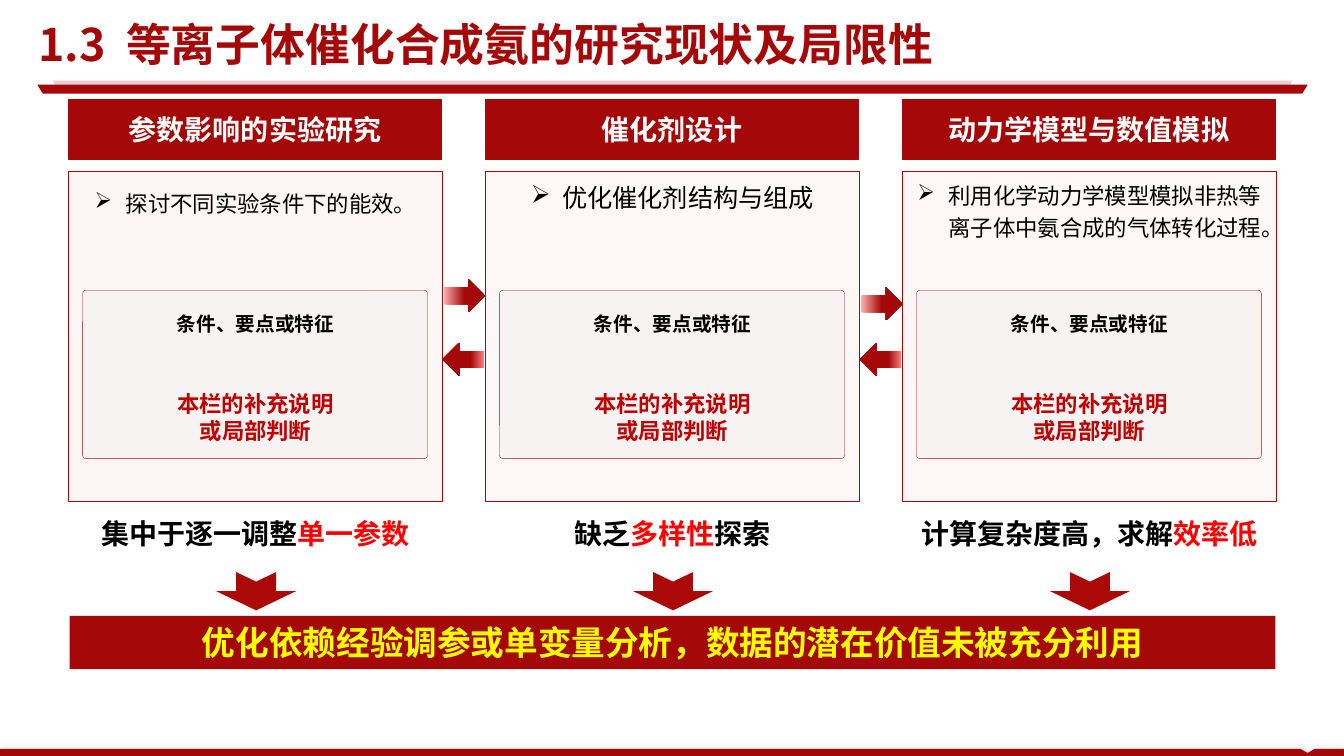
import pptx
import pptx.dml.color
import pptx.enum.shapes
import pptx.enum.text
import pptx.oxml
import pptx.oxml.ns
import pptx.util
from dataclasses import dataclass
from lxml import etree

Inches = pptx.util.Inches
Shape = pptx.enum.shapes.MSO_SHAPE
Anchor = pptx.enum.text.MSO_ANCHOR
Align = pptx.enum.text.PP_ALIGN
Color = pptx.dml.color.RGBColor.from_string
qn = pptx.oxml.ns.qn


@dataclass(frozen=True)
class Theme:
    font: str = "Noto Sans CJK SC"
    red: str = "A40808"
    arrow: str = "AB0808"
    pale_right: str = "FBAEAE"
    pale_left: str = "F97E7E"
    panel_first: str = "FCF4F4"
    panel: str = "FDF7F7"
    card: str = "F8F3F3"
    remark: str = "C00000"
    accent: str = "FF0000"
    yellow: str = "FFFF00"
    white: str = "FFFFFF"
    black: str = "000000"
    title_size: int = 32
    banner_size: int = 24
    heading_size: int = 20
    lead_size: int = 18
    body_size: int = 16
    label_size: int = 14


theme = Theme()
deck = pptx.Presentation()
deck.slide_width = Inches(13.33)
deck.slide_height = Inches(7.5)
page = deck.slides.add_slide(deck.slide_layouts[6])


def add_box(kind, left, top, width, height, fill, line=None, opacity=100):
    box = page.shapes.add_shape(kind, Inches(left), Inches(top), Inches(width), Inches(height))
    box.shadow.inherit = False
    box.fill.solid()
    box.fill.fore_color.rgb = Color(fill)
    if opacity < 100:
        color = box.fill._xPr.find(qn("a:solidFill"))[0]
        etree.SubElement(color, qn("a:alpha"), val=str(opacity * 1000))
    if line:
        box.line.color.rgb = Color(theme.red)
        box.line.width = pptx.util.Pt(line)
    else:
        box.line.fill.background()
    return box


def write(box, lines, size, color, bold=True, anchor=Anchor.MIDDLE, inset=(0.1, 0.05),
          spacing=None, bullet=None, align=Align.CENTER):
    frame = box.text_frame
    frame.word_wrap = True
    frame.vertical_anchor = anchor
    frame.margin_left = frame.margin_right = Inches(inset[0])
    frame.margin_top = frame.margin_bottom = Inches(inset[1])
    for index, spans in enumerate(lines):
        para = frame.add_paragraph() if index else frame.paragraphs[0]
        para.alignment = align
        if spacing:
            para.line_spacing = spacing
        if bullet:
            props = para._p.get_or_add_pPr()
            props.set("marL", str(Inches(0.31)))
            props.set("indent", str(-Inches(0.31)))
            etree.SubElement(props, qn("a:buChar"), char=bullet)
        para.font.size = pptx.util.Pt(size)
        para.font.bold = bold
        para.font.name = theme.font
        para.font.color.rgb = Color(color)
        etree.SubElement(para.font._element, qn("a:ea"), typeface=theme.font)
        for text, span_color in spans:
            span = para.add_run()
            span.text = text
            if span_color:
                span.font.color.rgb = Color(span_color)
    return frame


columns = [
    ("参数影响的实验研究", "探讨不同实验条件下的能效。", theme.body_size, 1.5, theme.panel_first, 73,
     [("集中于逐一调整", None), ("单一参数", theme.accent)]),
    ("催化剂设计", "优化催化剂结构与组成", theme.lead_size, 1.2, theme.panel, 100,
     [("缺乏", None), ("多样性", theme.accent), ("探索", None)]),
    ("动力学模型与数值模拟", "利用化学动力学模型模拟非热等离子体中氨合成的气体转化过程。",
     theme.body_size, 1.2, theme.panel, 100,
     [("计算复杂度高，求解", None), ("效率低", theme.accent)]),
]
first_left, last_left = 0.68, 8.95
pitch = (last_left - first_left) / 2

for index, (heading, point, size, spacing, fill, opacity, limit) in enumerate(columns):
    left = first_left + index * pitch

    header = add_box(Shape.RECTANGLE, left, 0.99, 3.7, 0.59, theme.red, 0.75)
    write(header, [[(heading, None)]], theme.heading_size, theme.white, inset=(0.04, 0.04))

    panel = add_box(Shape.ROUNDED_RECTANGLE, left, 1.7, 3.71, 3.27, fill, 0.25, opacity)
    panel.adjustments[0] = 0
    write(panel, [[(point, None)]], size, theme.black, bold=False, anchor=Anchor.TOP,
          spacing=spacing, bullet="➢")

    card = add_box(Shape.ROUNDED_RECTANGLE, left + 0.14, 2.88, 3.42, 1.67, theme.card, 0.25)
    card.adjustments[0] = 0.02
    label = page.shapes.add_textbox(Inches(left + 0.23), Inches(2.99), Inches(3.25), Inches(0.4))
    write(label, [[("条件、要点或特征", None)]], theme.label_size, theme.black,
          inset=(0.06, 0.03), spacing=1.2)
    remark = page.shapes.add_textbox(Inches(left + 0.25), Inches(3.87), Inches(3.21), Inches(0.54))
    write(remark, [[("本栏的补充说明", None)], [("或局部判断", None)]],
          theme.body_size, theme.remark, inset=(0.06, 0.03))

    limitation = page.shapes.add_textbox(Inches(left), Inches(5.08), Inches(3.71), Inches(0.44))
    write(limitation, [limit], theme.heading_size, theme.black, anchor=Anchor.TOP)
    down_arrow = add_box(Shape.NOTCHED_RIGHT_ARROW, left + 1.67, 5.47, 0.38, 0.79, theme.arrow)
    down_arrow.rotation = 90

link_arrows = [
    (4.4, 2.77, 0, theme.pale_right, 0.5),
    (8.54, 2.85, 0, theme.pale_right, 0.5),
    (4.39, 3.4, 180, theme.pale_left, 0.32),
    (8.53, 3.4, 180, theme.pale_left, 0.32),
]
for left, top, rotation, pale, fade_end in link_arrows:
    link = add_box(Shape.RIGHT_ARROW, left, top, 0.41, 0.33, theme.red)
    link.rotation = rotation
    link.fill.gradient()
    link.fill.gradient_angle = 0
    tail, head = link.fill.gradient_stops
    tail.color.rgb, tail.position = Color(pale), 0
    head.color.rgb, head.position = Color(theme.red), fade_end

banner = add_box(Shape.RECTANGLE, 0.69, 6.11, 11.96, 0.53, theme.red)
write(banner, [[("优化依赖经验调参或单变量分析，数据的潜在价值未被充分利用", None)]],
      theme.banner_size, theme.yellow)

for left, top, width, opacity in [(0.52, 0.8, 12.3, 20), (0.37, 0.84, 12.6, 100)]:
    rule = add_box(Shape.TRAPEZOID, left, top, width, 0.09, theme.red, opacity=opacity)
    rule.adjustments[0] = 0.61
    rule.rotation = 180

footer_points = [(12.9, 7.43), (12.97, 7.47), (13.04, 7.43), (13.33, 7.43), (13.33, 7.5), (0, 7.5)]
outline = page.shapes.build_freeform(Inches(0), Inches(7.43))
outline.add_line_segments([(Inches(x), Inches(y)) for x, y in footer_points], close=True)
footer = outline.convert_to_shape()
footer.fill.solid()
footer.fill.fore_color.rgb = Color(theme.red)
footer.line.fill.background()
footer.shadow.inherit = False
effects = footer._element.spPr.find(qn("a:effectLst"))
glow = etree.SubElement(effects, qn("a:outerShdw"), blurRad=str(pptx.util.Pt(7.7)), dist="0", dir="0")
shade = etree.SubElement(glow, qn("a:srgbClr"), val=theme.black)
etree.SubElement(shade, qn("a:alpha"), val="14000")

title = page.shapes.add_textbox(Inches(0.38), Inches(0.1), Inches(12.58), Inches(0.67))
title_frame = write(title, [[("1.3", None), (" ", None), ("等离子体催化合成氨的研究现状及局限性", None)]],
                    theme.title_size, theme.red, inset=(0, 0), align=Align.LEFT)
title_gap = title_frame.paragraphs[0].runs[1]
title_gap._r.get_or_add_rPr().set("spc", "720")

deck.save("out.pptx")
